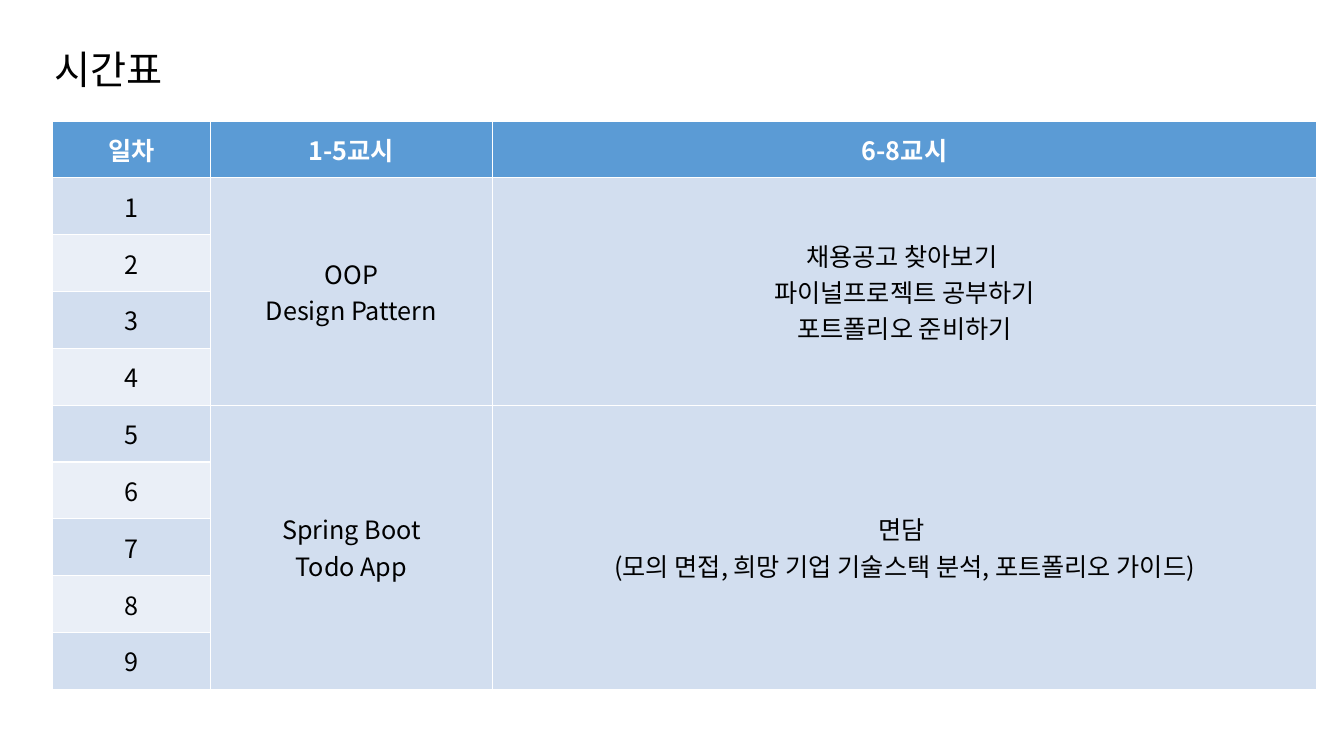
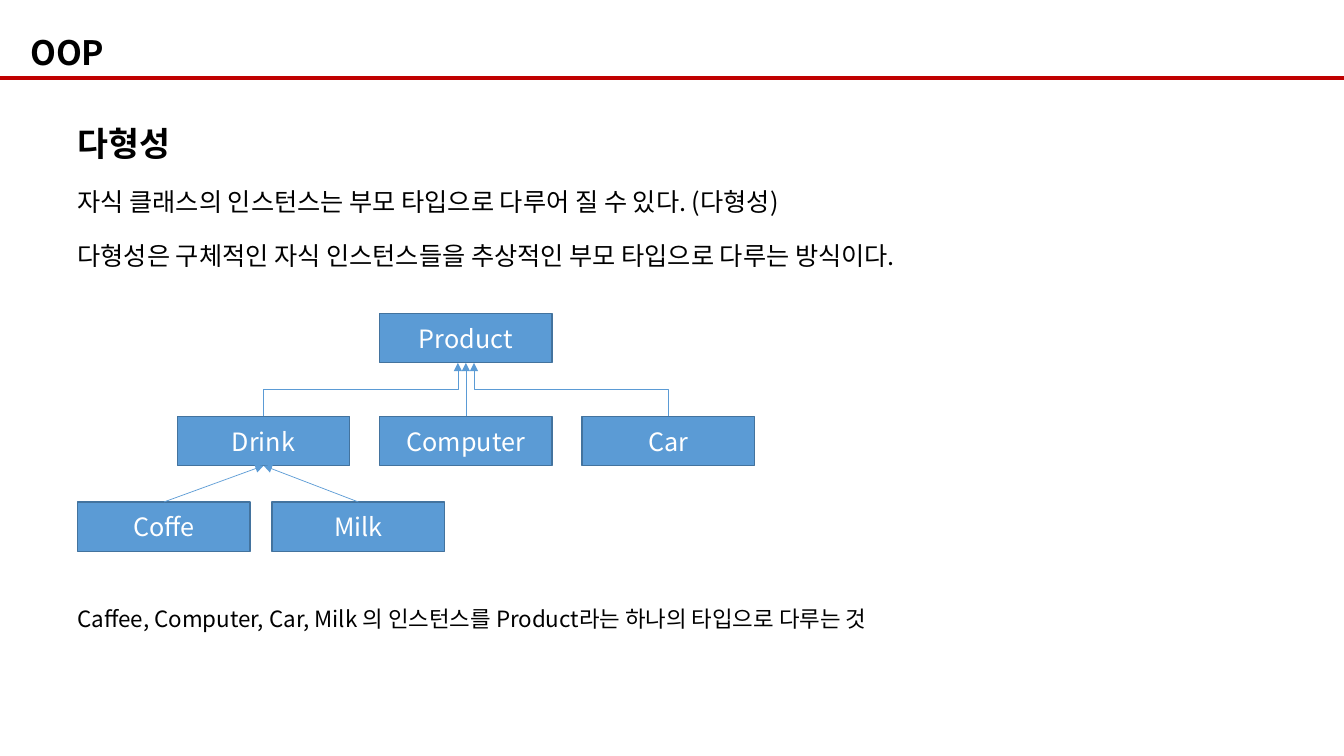
"""Build a timetable slide and a polymorphism class-diagram slide."""
from dataclasses import dataclass

import lxml.etree
import pptx
import pptx.dml.color
import pptx.enum.shapes
import pptx.enum.text
import pptx.oxml.ns
import pptx.util

RGBColor = pptx.dml.color.RGBColor
ALIGN = pptx.enum.text.PP_ALIGN
ANCHOR = pptx.enum.text.MSO_ANCHOR
CONNECTOR = pptx.enum.shapes.MSO_CONNECTOR
qn = pptx.oxml.ns.qn

WIDTH = pptx.util.Inches(13.33)
HEIGHT = pptx.util.Inches(7.5)
FONT = "Noto Sans CJK KR"
BLACK = RGBColor(0x00, 0x00, 0x00)
WHITE = RGBColor(0xFF, 0xFF, 0xFF)
BLUE = RGBColor(0x5B, 0x9B, 0xD5)
DARK_BLUE = RGBColor(0x43, 0x73, 0x9E)
BAND_DARK = RGBColor(0xD2, 0xDE, 0xEF)
BAND_LIGHT = RGBColor(0xEA, 0xEF, 0xF7)
RED = RGBColor(0xC0, 0x00, 0x00)

NODE_WIDTH, NODE_HEIGHT = 12.83, 6.53
ROOT_TOP, PARENT_TOP, CHILD_TOP = 41.47, 55.07, 66.4
PARENT_LEFT, PARENT_PITCH = 13.2, 15.05
CHILD_LEFT, CHILD_PITCH = 5.78, 14.47
ARROW_SPREAD = 0.6


@dataclass(frozen=True)
class Area:
    """Hold a rectangle in percent of the slide's size."""
    left: float
    top: float
    width: float
    height: float

    def frame(self) -> tuple[int, int, int, int]:
        """Return left, top, width and height in EMU."""
        return across(self.left), down(self.top), across(self.width), down(self.height)


@dataclass(frozen=True)
class Style:
    """Hold the look of a paragraph."""
    size: int
    color: RGBColor = BLACK
    bold: bool = False
    align: ALIGN = ALIGN.LEFT


@dataclass(frozen=True)
class Block:
    """Hold a merged timetable cell that starts on a given day."""
    day: int
    days: int
    column: int
    lines: tuple[str, ...]


CELL = Style(18, align=ALIGN.CENTER)
CELL_HEAD = Style(18, WHITE, True, ALIGN.CENTER)
NODE = Style(18, WHITE, align=ALIGN.CENTER)
HEADING = Style(24, bold=True)
BODY = Style(18)

COLUMN_SHARES = (12.5, 22.3, 65.2)
HEADERS = ("일차", "1-5교시", "6-8교시")
DAYS = 9
BLOCKS = (
    Block(1, 4, 1, ("OOP", "Design Pattern")),
    Block(1, 4, 2, ("채용공고 찾아보기 ", "파이널프로젝트 공부하기", "포트폴리오 준비하기")),
    Block(5, 5, 1, ("Spring Boot\vTodo App",)),
    Block(5, 5, 2, ("면담 ", "(모의 면접, 희망 기업 기술스택 분석, 포트폴리오 가이드)")),
)


def across(percent: float) -> int:
    """Turn a percentage of the slide's width into EMU."""
    return round(WIDTH * percent / 100)


def down(percent: float) -> int:
    """Turn a percentage of the slide's height into EMU."""
    return round(HEIGHT * percent / 100)


def format_paragraph(para, style: Style) -> None:
    """Apply a style, with the font for Latin and Korean text."""
    para.alignment = style.align
    para.font.size = pptx.util.Pt(style.size)
    para.font.bold = style.bold
    para.font.color.rgb = style.color
    para.font.name = FONT
    latin = para._p.find(".//" + qn("a:latin"))
    korean = lxml.etree.Element(qn("a:ea"), typeface=FONT)
    latin.addnext(korean)


def write(frame, lines: tuple[str, ...], style: Style) -> None:
    """Fill a text frame with one paragraph for each line."""
    frame.word_wrap = True
    for index, line in enumerate(lines):
        para = frame.paragraphs[0] if index == 0 else frame.add_paragraph()
        para.text = line
        format_paragraph(para, style)


def fill_cell(cell, lines: tuple[str, ...], style: Style, color: RGBColor) -> None:
    """Write and colour a table cell."""
    cell.vertical_anchor = ANCHOR.MIDDLE
    cell.fill.solid()
    cell.fill.fore_color.rgb = color
    write(cell.text_frame, lines, style)


def add_titled_slide(deck, text: str, area: Area, style: Style):
    """Add a title-only slide with a placed and formatted title."""
    page = deck.slides.add_slide(deck.slide_layouts[5])
    title = page.shapes.title
    title.left, title.top, title.width, title.height = area.frame()
    title.text_frame.auto_size = pptx.enum.text.MSO_AUTO_SIZE.NONE
    title.text_frame.vertical_anchor = ANCHOR.MIDDLE
    write(title.text_frame, (text,), style)
    return page


def add_text(page, area: Area, lines: tuple[str, ...], style: Style):
    """Add a text box and return its text frame."""
    frame = page.shapes.add_textbox(*area.frame()).text_frame
    frame.vertical_anchor = ANCHOR.MIDDLE
    write(frame, lines, style)
    return frame


def add_node(page, name: str, left: float, top: float):
    """Add a class box."""
    area = Area(left, top, NODE_WIDTH, NODE_HEIGHT)
    box = page.shapes.add_shape(pptx.enum.shapes.MSO_SHAPE.RECTANGLE, *area.frame())
    box.shadow.inherit = False
    box.fill.solid()
    box.fill.fore_color.rgb = BLUE
    box.line.color.rgb = DARK_BLUE
    box.line.width = pptx.util.Pt(1)
    box.text_frame.vertical_anchor = ANCHOR.MIDDLE
    write(box.text_frame, (name,), NODE)
    return box


def style_line(line, color: RGBColor, width: float, arrow: bool) -> None:
    """Set a connector's colour and width, and its arrowhead if wanted."""
    line.line.color.rgb = color
    line.line.width = pptx.util.Pt(width)
    properties = line._element.spPr
    if arrow:
        outline = properties.find(qn("a:ln"))
        lxml.etree.SubElement(outline, qn("a:tailEnd"), type="triangle")
    lxml.etree.SubElement(properties, qn("a:effectLst"))


def add_straight_arrow(page, child, parent) -> None:
    """Point from the top of a child to the bottom of its parent."""
    arrow = page.shapes.add_connector(CONNECTOR.STRAIGHT, 0, 0, 0, 0)
    arrow.begin_connect(child, 0)
    arrow.end_connect(parent, 2)
    style_line(arrow, BLUE, 0.5, True)


def add_bent_arrow(page, child, parent, offset: int) -> None:
    """Point up, across and up to a spot beside the parent's middle."""
    start_x = child.left + child.width // 2
    end_x = parent.left + parent.width // 2 + offset
    start_y, end_y = child.top, parent.top + parent.height
    side = 1 if end_x > start_x else -1
    center_x, center_y = (start_x + end_x) // 2, (start_y + end_y) // 2
    half_run, half_rise = abs(end_x - start_x) // 2, (start_y - end_y) // 2
    arrow = page.shapes.add_connector(
        CONNECTOR.ELBOW,
        center_x + side * half_rise, center_y + half_run,
        center_x - side * half_rise, center_y - half_run)
    turn = 90 if side > 0 else 270
    arrow._element.spPr.find(qn("a:xfrm")).set("rot", str(turn * 60000))
    style_line(arrow, BLUE, 0.5, True)


def build_timetable(deck) -> None:
    """Build the timetable slide."""
    page = add_titled_slide(deck, "시간표", Area(3.3, 5.33, 33.9, 7.6), Style(28))
    area = Area(3.9, 16, 94.07, 75.2)
    table = page.shapes.add_table(DAYS + 1, len(HEADERS), *area.frame()).table
    for column, share in zip(table.columns, COLUMN_SHARES):
        column.width = across(area.width * share / 100)
    for column, header in enumerate(HEADERS):
        fill_cell(table.cell(0, column), (header,), CELL_HEAD, BLUE)
    for day in range(1, DAYS + 1):
        color = BAND_DARK if day % 2 else BAND_LIGHT
        fill_cell(table.cell(day, 0), (str(day),), CELL, color)
    for block in BLOCKS:
        cell = table.cell(block.day, block.column)
        cell.merge(table.cell(block.day + block.days - 1, block.column))
        fill_cell(cell, block.lines, CELL, BAND_DARK)


def build_polymorphism(deck) -> None:
    """Build the class-diagram slide."""
    page = add_titled_slide(deck, "OOP", Area(1.5, 3.6, 37.3, 6.67), HEADING)
    rule_y = down(10.27)
    rule = page.shapes.add_connector(CONNECTOR.STRAIGHT, 0, rule_y, WIDTH, rule_y)
    style_line(rule, RED, 3, False)

    body = add_text(page, Area(5.03, 14.53, 92.95, 22.93), (
        "다형성",
        "자식 클래스의 인스턴스는 부모 타입으로 다루어 질 수 있다. (다형성)",
        "다형성은 구체적인 자식 인스턴스들을 추상적인 부모 타입으로 다루는 방식이다.",
    ), BODY)
    heading, *statements = body.paragraphs
    heading.font.size = pptx.util.Pt(HEADING.size)
    heading.font.bold = True
    for para in statements:
        para.space_before = pptx.util.Pt(16.8)

    product = add_node(page, "Product", PARENT_LEFT + PARENT_PITCH, ROOT_TOP)
    drink, computer, car = (
        add_node(page, name, PARENT_LEFT + index * PARENT_PITCH, PARENT_TOP)
        for index, name in enumerate(("Drink", "Computer", "Car")))
    add_bent_arrow(page, drink, product, -across(ARROW_SPREAD))
    add_straight_arrow(page, computer, product)
    add_bent_arrow(page, car, product, across(ARROW_SPREAD))
    for index, name in enumerate(("Coffe", "Milk")):
        child = add_node(page, name, CHILD_LEFT + index * CHILD_PITCH, CHILD_TOP)
        add_straight_arrow(page, child, drink)

    note = add_text(page, Area(5.03, 77.6, 78.85, 6.67), (
        "Caffee, Computer, Car, Milk 의 인스턴스를 Product라는 하나의 타입으로 다루는 것",
    ), Style(16))
    note.paragraphs[0].line_spacing = 1.5


def main() -> None:
    """Build and save the deck."""
    deck = pptx.Presentation()
    deck.slide_width, deck.slide_height = WIDTH, HEIGHT
    build_timetable(deck)
    build_polymorphism(deck)
    deck.save("out.pptx")


if __name__ == "__main__":
    main()
